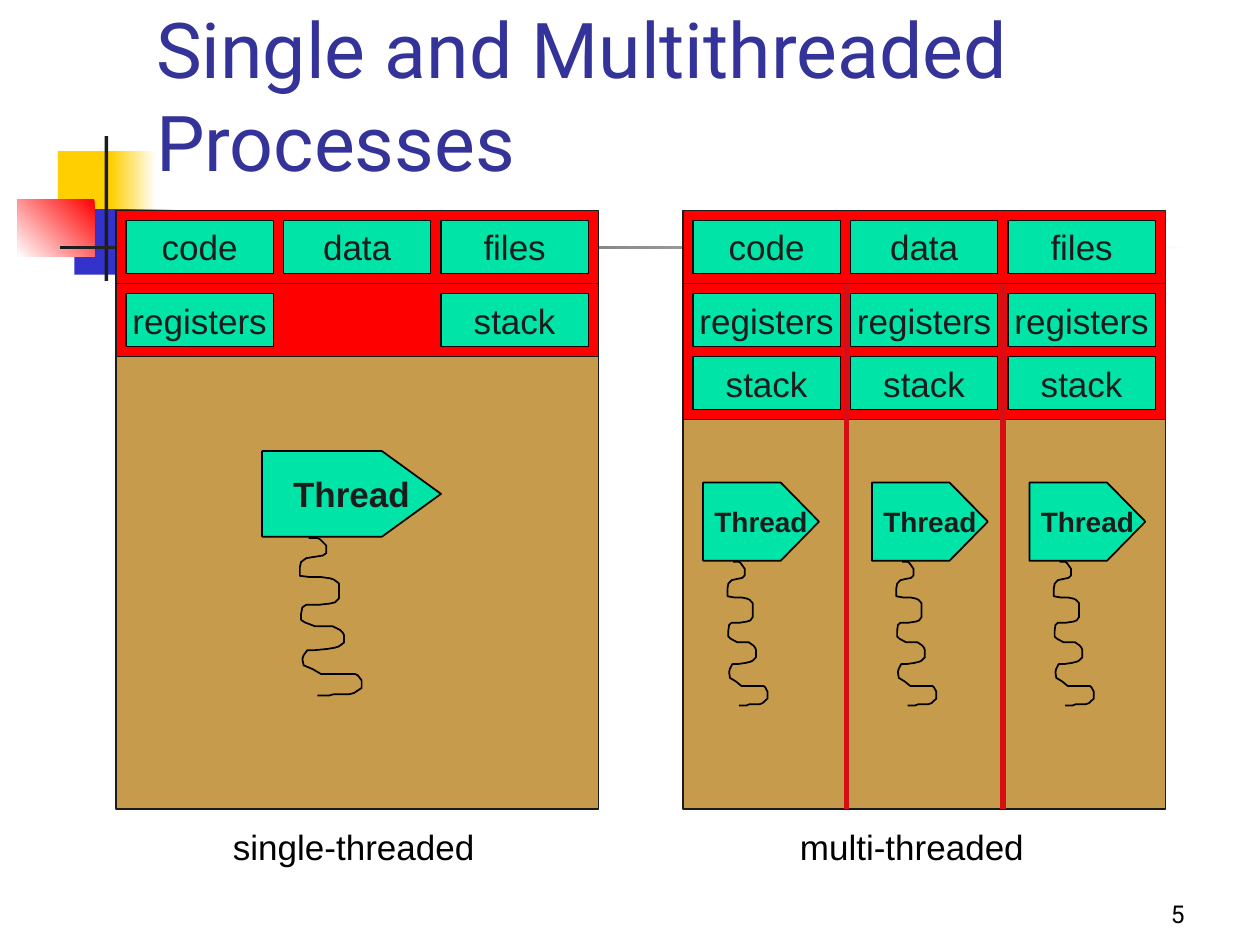
from lxml import etree
from pptx import Presentation
from pptx.dml.color import RGBColor
from pptx.enum import shapes, text
from pptx.oxml import ns
from pptx.util import Inches, Pt

COLORS = {
    "white": "FFFFFF", "black": "000000", "ink": "1C1C1C", "title": "333399",
    "yellow": "FFCF01", "blue": "3333CC", "red": "FF0000", "divider": "D50F14",
    "cell": "00E4A8", "body": "C79B4C",
}
PITCH, CELL_W, CELL_H = 1.25, 1.17, 0.42
BAND_H, ROW_STEP, PAD = 0.58, 0.5, 0.08
ARROW = [(0, 0), (0.67, 0), (1, 0.5), (0.67, 1), (0, 1)]
SQUIGGLE = [
    (37, 69), (44, 69), (46, 70), (48, 72), (51, 75), (51, 81), (48, 83),
    (41, 84), (35, 85), (31, 88), (30, 92), (30, 99), (38, 100), (47, 100),
    (54, 101), (57, 102), (61, 105), (61, 117), (58, 120), (54, 121),
    (45, 122), (35, 122), (32, 124), (31, 129), (31, 134), (34, 136),
    (42, 139), (56, 139), (62, 142), (64, 144), (65, 146), (65, 152),
    (61, 155), (58, 156), (52, 157), (42, 158), (36, 158), (33, 162),
    (32, 165), (33, 170), (40, 173), (47, 177), (66, 177), (74, 177),
    (76, 178), (79, 182), (79, 188), (73, 192), (69, 193), (57, 193),
    (53, 194), (44, 194),
]


def rgb(name):
    return RGBColor.from_string(COLORS[name])


def paint(sp, fill=None, line=None, width=0.75):
    sp.shadow.inherit = False
    if fill:
        sp.fill.solid()
        sp.fill.fore_color.rgb = rgb(fill)
    else:
        sp.fill.background()
    if line:
        sp.line.color.rgb = rgb(line)
        sp.line.width = Pt(width)
    else:
        sp.line.fill.background()


def write(sp, words, color, size=20, font="Arial", bold=False, align="LEFT",
          anchor="MIDDLE", wrap=False):
    tf = sp.text_frame
    frame_format = {"word_wrap": wrap,
                    "vertical_anchor": getattr(text.MSO_ANCHOR, anchor)}
    for key, value in frame_format.items():
        setattr(tf, key, value)
    p = tf.paragraphs[0]
    p.alignment = getattr(text.PP_ALIGN, align)
    r = p.add_run()
    r.text = words
    for key, value in {"name": font, "size": Pt(size), "bold": bold}.items():
        setattr(r.font, key, value)
    r.font.color.rgb = rgb(color)


def add_text(s, box, words, color, **style):
    sp = s.shapes.add_textbox(*map(Inches, box))
    write(sp, words, color, **style)
    return sp


def add_rect(s, box, fill, line=None):
    sp = s.shapes.add_shape(shapes.MSO_SHAPE.RECTANGLE, *map(Inches, box))
    paint(sp, fill, line)
    return sp


def add_fade(s, box, start, end, angle):
    sp = add_rect(s, box, start)
    sp.fill.gradient()
    sp.fill.gradient_angle = angle
    for stop, name in zip(sp.fill.gradient_stops, (start, end)):
        stop.color.rgb = rgb(name)


def add_decoration(s, x, y):
    add_rect(s, (x + 0.32, y + 0.12, 0.48, 0.52), "yellow")
    add_fade(s, (x + 0.74, y + 0.12, 0.36, 0.52), "white", "yellow", 180)
    add_rect(s, (x + 0.45, y + 0.58, 0.46, 0.52), "blue")
    add_fade(s, (x + 0.86, y + 0.58, 0.4, 0.52), "white", "blue", 180)
    add_fade(s, (x, y + 0.5, 0.61, 0.46), "red", "white", 225)
    add_rect(s, (x + 0.69, y, 0.03, 1.15), "ink")
    add_fade(s, (x + 0.34, y + 0.87, 9, 0.03), "white", "ink", 180)


def add_outline(group, points, closed):
    points = [(Inches(x), Inches(y)) for x, y in points]
    builder = group.shapes.build_freeform(*points[0])
    builder.add_line_segments(points[1:], close=closed)
    return builder.convert_to_shape()


def add_thread(s, box, size):
    x, y, w, h = box
    group = s.shapes.add_group_shape()
    arrow = add_outline(group, [(x + w * u, y + h * v) for u, v in ARROW], True)
    paint(arrow, "cell", "black", 1)
    write(arrow, "Thread", "ink", size=size, bold=True, align="CENTER")
    tail = add_outline(
        group, [(x + w * u / 142, y + h * v / 68) for u, v in SQUIGGLE], False)
    paint(tail, None, "black", 1)


def add_divider(s, x, top, bottom):
    ln = s.shapes.add_connector(
        shapes.MSO_CONNECTOR.STRAIGHT, *map(Inches, (x, top, x, bottom)))
    ln.line.color.rgb = rgb("divider")
    ln.line.width = Pt(3)
    etree.SubElement(ln._element.spPr, ns.qn("a:effectLst"))


def add_cells(s, x, y, labels):
    for col, label in enumerate(labels):
        if label:
            sp = add_rect(s, (x + col * PITCH, y, CELL_W, CELL_H), "cell", "black")
            write(sp, label, "ink", align="CENTER")


def add_process(s, box, rows, threads, size, dividers, caption, caption_w):
    x, y, w, h = box
    state_y = y + BAND_H
    state_h = BAND_H + ROW_STEP * (len(rows) - 1)
    body_y = state_y + state_h
    add_rect(s, (x, y, w, BAND_H), "red", "ink")
    add_cells(s, x + PAD, y + PAD, ["code", "data", "files"])
    add_rect(s, (x, state_y, w, state_h), "red", "ink")
    for i, labels in enumerate(rows):
        add_cells(s, x + PAD, state_y + PAD + i * ROW_STEP, labels)
    add_rect(s, (x, body_y, w, y + h - body_y), "body", "ink")
    for dx, dy, tw, th in threads:
        add_thread(s, (x + dx, body_y + dy, tw, th), size)
    for dx in dividers:
        add_divider(s, x + dx, state_y, y + h)
    label = add_text(s, (x + 0.83, y + h + 0.08, caption_w, 0.44), caption,
                     "black", anchor="TOP")
    label.text_frame.auto_size = text.MSO_AUTO_SIZE.SHAPE_TO_FIT_TEXT


def main():
    prs = Presentation()
    prs.slide_width, prs.slide_height = Inches(10), Inches(7.5)
    s = prs.slides.add_slide(prs.slide_layouts[6])
    add_decoration(s, 0.14, 1.08)
    add_text(s, (1.14, 0.28, 8.52, 1.25), "Single and Multithreaded Processes",
             "title", size=44, font="Roboto", anchor="BOTTOM", wrap=True)
    add_process(s, (0.92, 1.67, 3.83, 4.75), [["registers", None, "stack"]],
                [(1.16, 0.75, 1.42, 0.68)], 20, [], "single-threaded", 2.12)
    add_process(s, (5.42, 1.67, 3.83, 4.75), [["registers"] * 3, ["stack"] * 3],
                [(dx, 0.5, 0.92, 0.62) for dx in (0.16, 1.5, 2.75)], 16,
                [1.3, 2.54], "multi-threaded", 1.98)
    add_text(s, (7.42, 6.92, 2.08, 0.5), "5", "black", size=14, font="Roboto",
             align="RIGHT", anchor="BOTTOM", wrap=True)
    prs.save("out.pptx")


if __name__ == "__main__":
    main()
